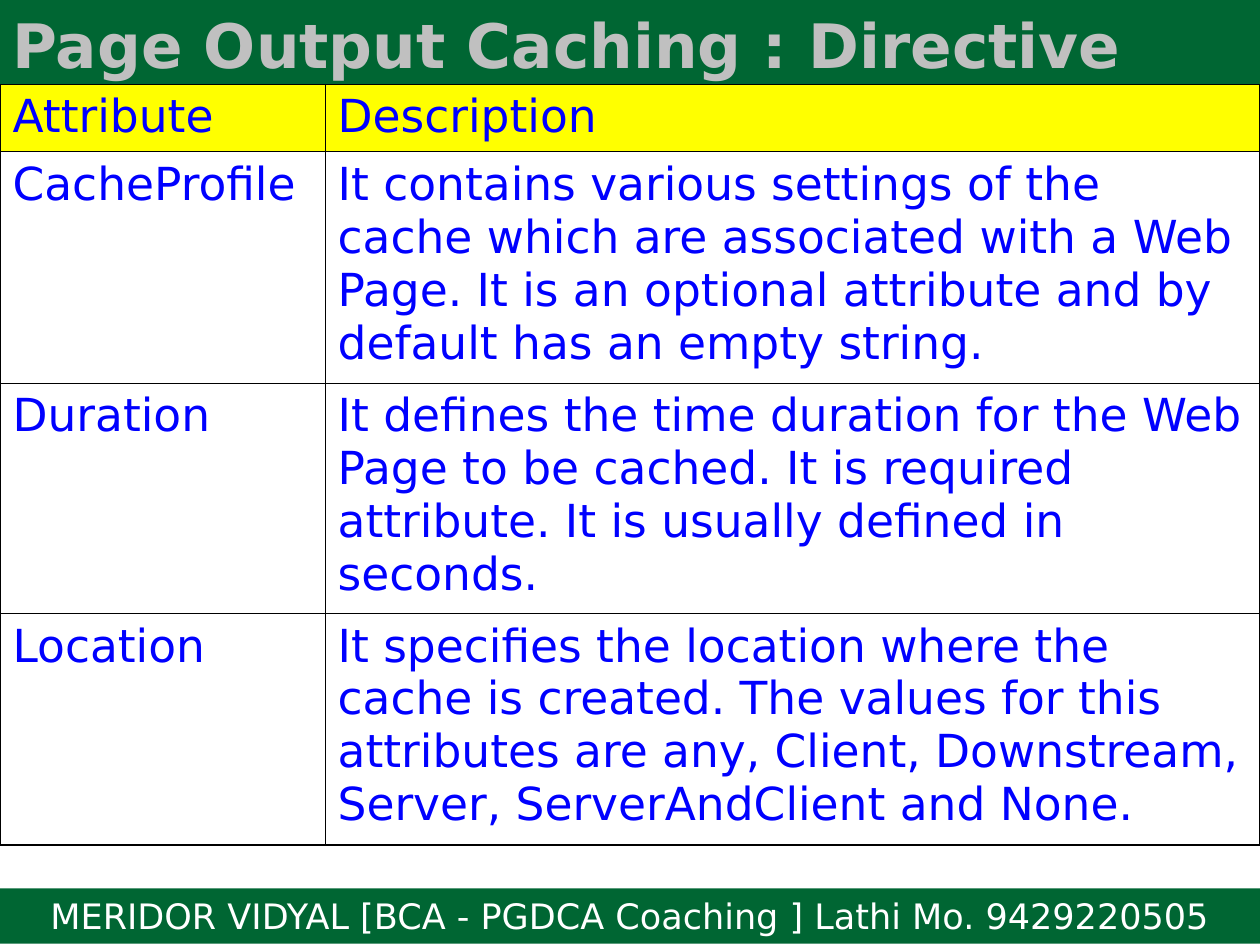
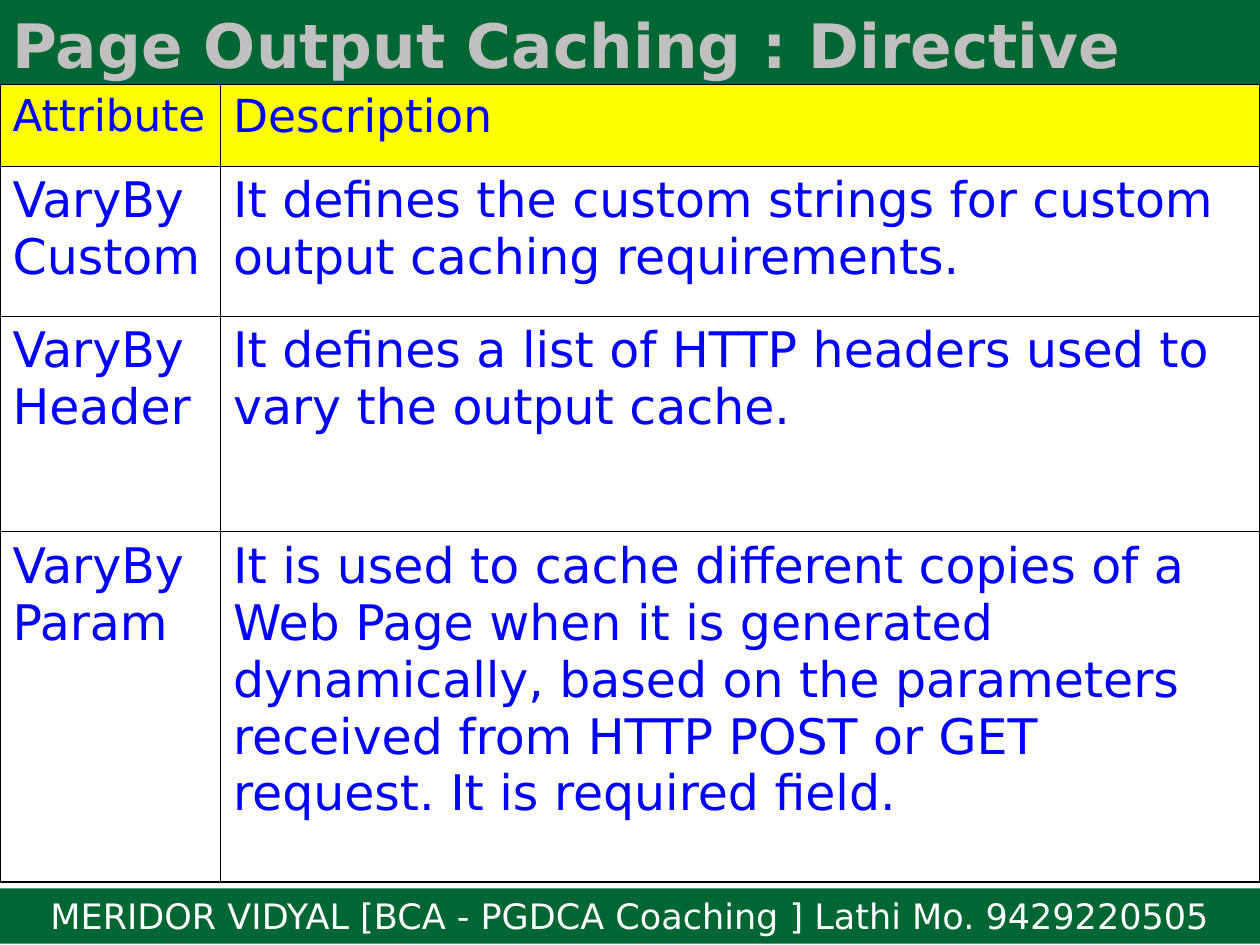
"""Build two slides that tabulate the attributes of the page output caching directive."""
import pptx
import pptx.dml.color
import pptx.enum.shapes
import pptx.enum.text
import pptx.oxml
import pptx.oxml.ns
import pptx.util

GREEN = pptx.dml.color.RGBColor(0x00, 0x66, 0x33)
SILVER = pptx.dml.color.RGBColor(0xC0, 0xC0, 0xC0)
BLUE = pptx.dml.color.RGBColor(0x00, 0x00, 0xFF)
YELLOW = pptx.dml.color.RGBColor(0xFF, 0xFF, 0x00)
WHITE = pptx.dml.color.RGBColor(0xFF, 0xFF, 0xFF)
BLACK = pptx.dml.color.RGBColor(0x00, 0x00, 0x00)

FONT = "DejaVu Sans"
COLUMNS, ROWS = 100, 75
OUTER_LINE, INNER_LINE = 1.08, 0.45
TITLE = "Page Output Caching : Directive"
FOOTER = "MERIDOR VIDYAL [BCA - PGDCA Coaching ] Lathi Mo. 9429220505"
HEADINGS = ("Attribute", "Description")

GENERAL_ATTRIBUTES = (
    HEADINGS,
    ("CacheProfile", "It contains various settings of the cache which are associated with a "
     "Web Page. It is an optional attribute and by default has an empty string."),
    ("Duration", "It defines the time duration for the Web Page to be cached. "
     "It is required attribute. It is usually defined in seconds."),
    ("Location", "It specifies the location where the cache is created. The values for this "
     "attributes are any, Client, Downstream, Server, ServerAndClient and None."),
)
VARY_ATTRIBUTES = (
    HEADINGS,
    ("VaryBy Custom", "It defines the custom strings for custom output caching requirements."),
    ("VaryBy Header", "It defines a list of HTTP headers used to vary the output cache."),
    ("VaryBy Param", "It is used to cache different copies of a Web Page when it is generated "
     "dynamically, based on the parameters received from HTTP POST or GET request. "
     "It is required field."),
)


class DirectiveDeck:
    """Hold the deck, its style and the current page."""

    def __init__(self):
        self.deck = pptx.Presentation()
        self.deck.slide_width = pptx.util.Inches(10)
        self.deck.slide_height = pptx.util.Inches(7.5)
        self.page = None

    def across(self, columns):
        return round(self.deck.slide_width * columns / COLUMNS)

    def down(self, rows):
        return round(self.deck.slide_height * rows / ROWS)

    def set_text(self, frame, text, size, color, bold=False, align=pptx.enum.text.PP_ALIGN.LEFT):
        frame.text = text
        para = frame.paragraphs[0]
        para.alignment = align
        for span in para.runs:
            span.font.name = FONT
            span.font.size = pptx.util.Pt(size)
            span.font.bold = bold
            span.font.color.rgb = color

    def add_page(self):
        self.page = self.deck.slides.add_slide(self.deck.slide_layouts[5])
        self.add_footer()
        self.add_title()

    def add_footer(self):
        band = self.page.shapes.add_shape(
            pptx.enum.shapes.MSO_SHAPE.RECTANGLE,
            0, self.down(70.5), self.across(COLUMNS), self.down(4.4))
        band.shadow.inherit = False
        band.fill.solid()
        band.fill.fore_color.rgb = GREEN
        band.line.fill.background()
        band.text_frame.word_wrap = True
        band.text_frame.vertical_anchor = pptx.enum.text.MSO_ANCHOR.TOP
        self.set_text(band.text_frame, FOOTER, 20, WHITE, align=pptx.enum.text.PP_ALIGN.CENTER)

    def add_title(self):
        title = self.page.shapes.title
        title.left, title.top = 0, 0
        title.width, title.height = self.across(COLUMNS), self.down(7)
        title.fill.solid()
        title.fill.fore_color.rgb = GREEN
        title.text_frame.auto_size = pptx.enum.text.MSO_AUTO_SIZE.NONE
        title.text_frame.vertical_anchor = pptx.enum.text.MSO_ANCHOR.MIDDLE
        self.set_text(title.text_frame, TITLE, 35, SILVER, bold=True)

    def add_borders(self, cell, outer_sides):
        properties = cell._tc.get_or_add_tcPr()
        for side in "LRTB":
            width = pptx.util.Pt(OUTER_LINE if side in outer_sides else INNER_LINE)
            properties.append(pptx.oxml.parse_xml(
                f'<a:ln{side} {pptx.oxml.ns.nsdecls("a")} w="{width}"><a:solidFill>'
                f'<a:srgbClr val="{BLACK}"/></a:solidFill></a:ln{side}>'))

    def add_table(self, records, widths, heights, body_size, heading_sizes):
        table = self.page.shapes.add_table(
            len(records), len(widths), 0, self.down(6.7),
            self.across(sum(widths)), self.down(sum(heights))).table
        table.first_row = table.horz_banding = False
        for column, width in zip(table.columns, widths):
            column.width = self.across(width)
        for row, height in zip(table.rows, heights):
            row.height = self.down(height)
        for row_index, record in enumerate(records):
            for column_index, text in enumerate(record):
                cell = table.cell(row_index, column_index)
                heading = row_index == 0
                sides = "LR"[column_index]
                sides += "T" if heading else ""
                sides += "B" if row_index == len(records) - 1 else ""
                self.add_borders(cell, sides)
                cell.fill.solid()
                cell.fill.fore_color.rgb = YELLOW if heading else WHITE
                size = heading_sizes[column_index] if heading else body_size
                self.set_text(cell.text_frame, text, size, BLUE)


def main():
    show = DirectiveDeck()
    show.add_page()
    show.add_table(GENERAL_ATTRIBUTES, (25.8, 74.2), (5.35, 18.35, 18.3, 18.35), 26, (26, 26))
    show.add_page()
    show.add_table(VARY_ATTRIBUTES, (17.5, 82.5), (6.5, 11.9, 17.1, 27.8), 28, (25, 26))
    show.deck.save("out.pptx")


if __name__ == "__main__":
    main()
